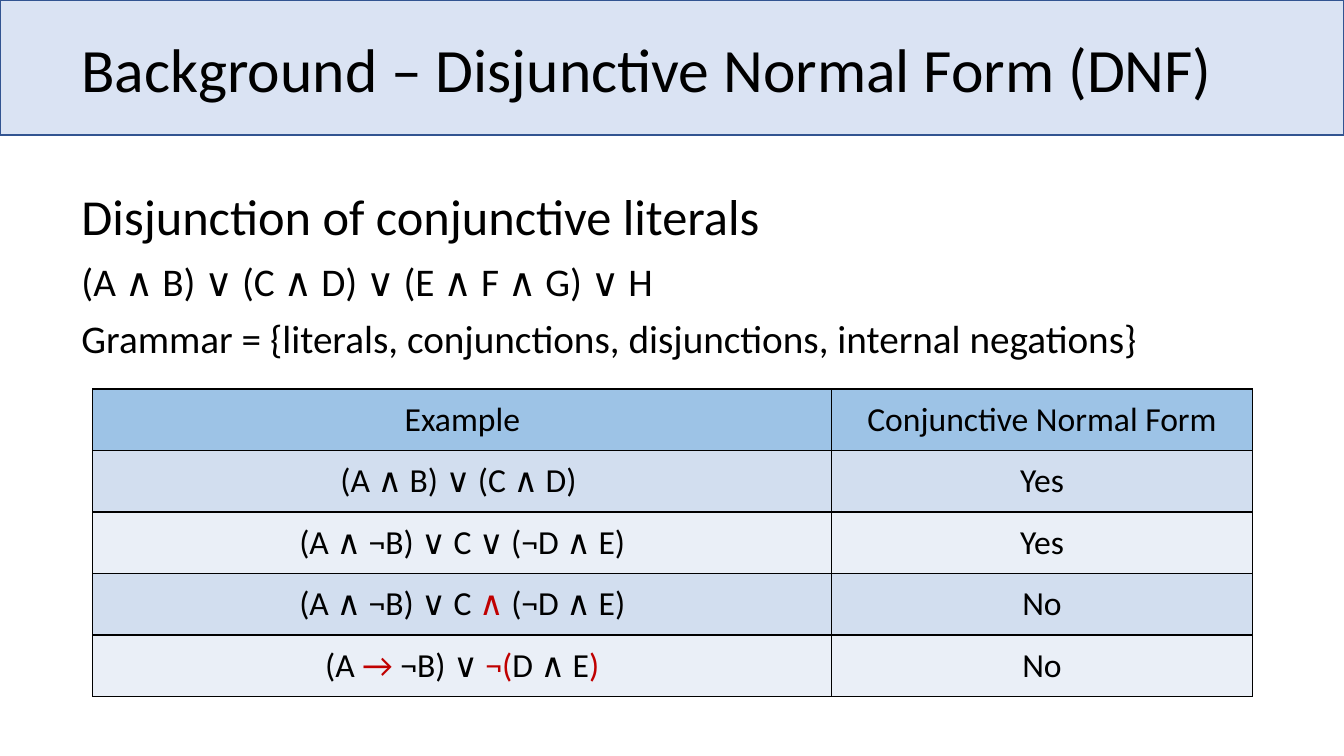
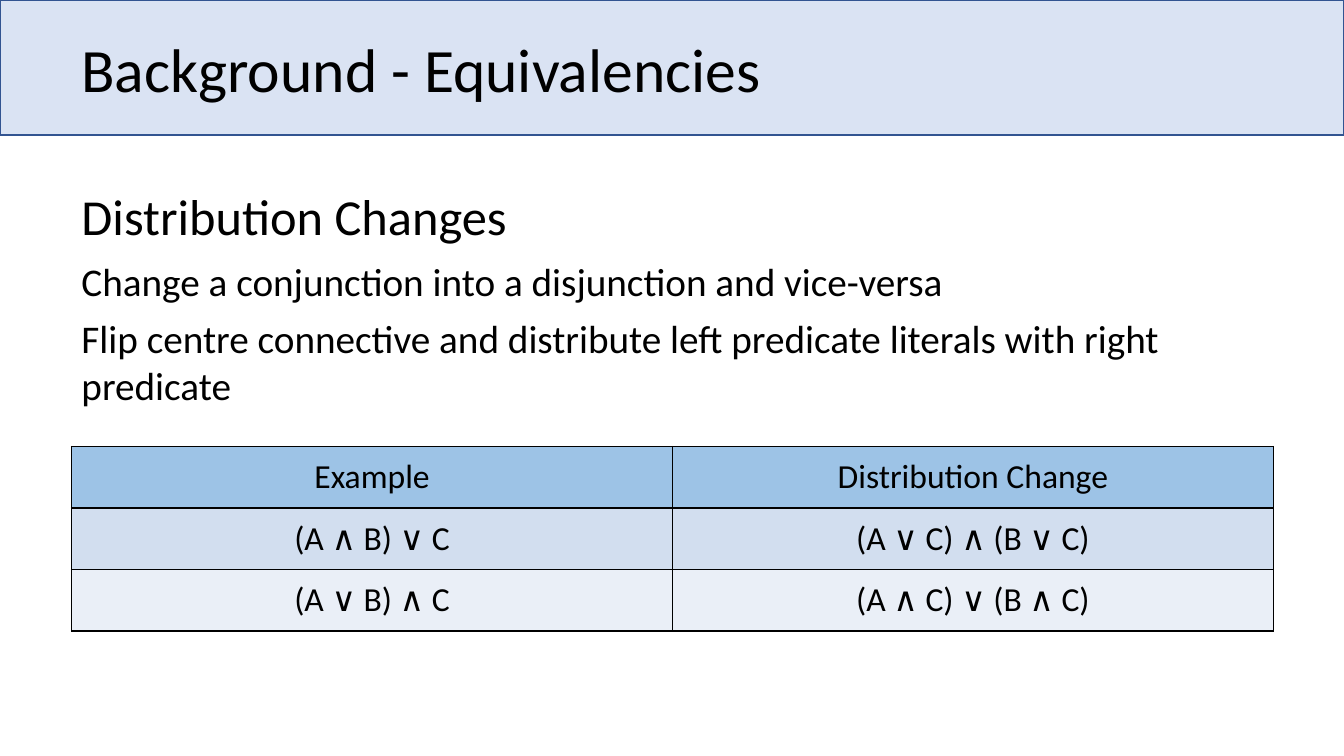
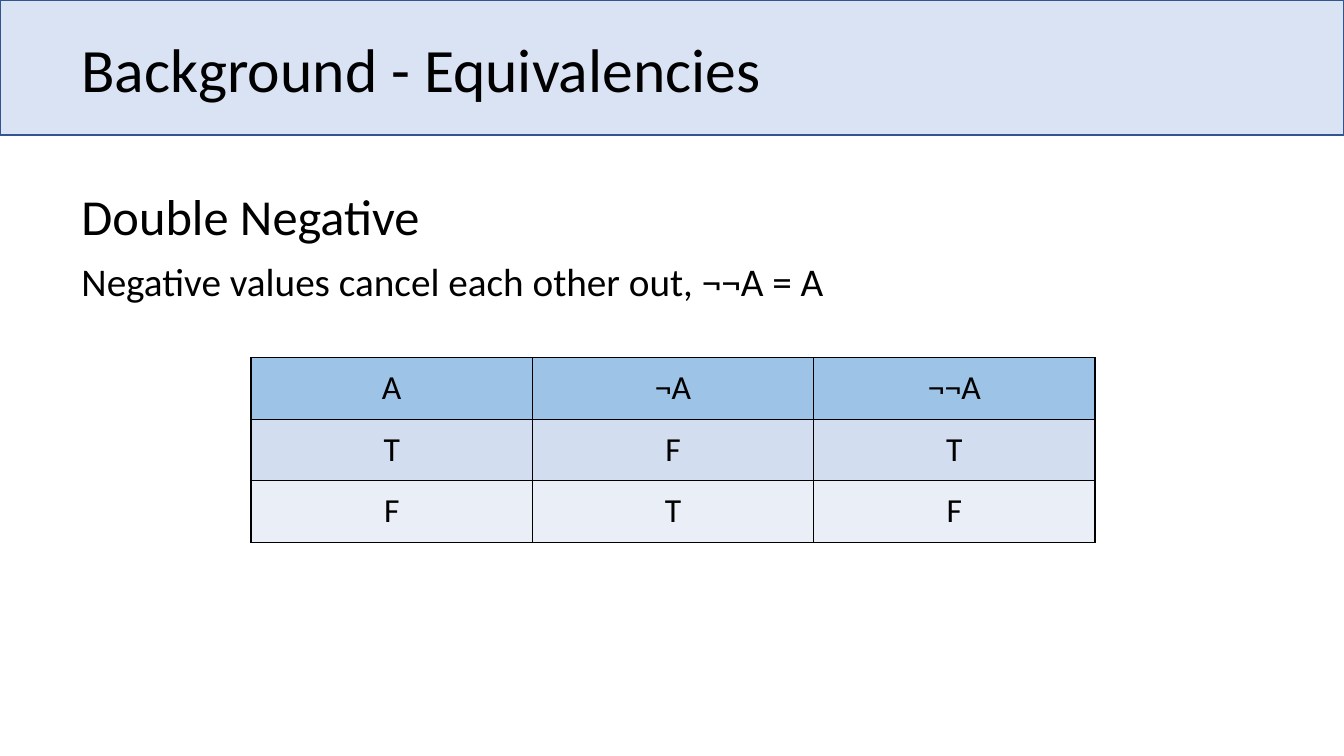
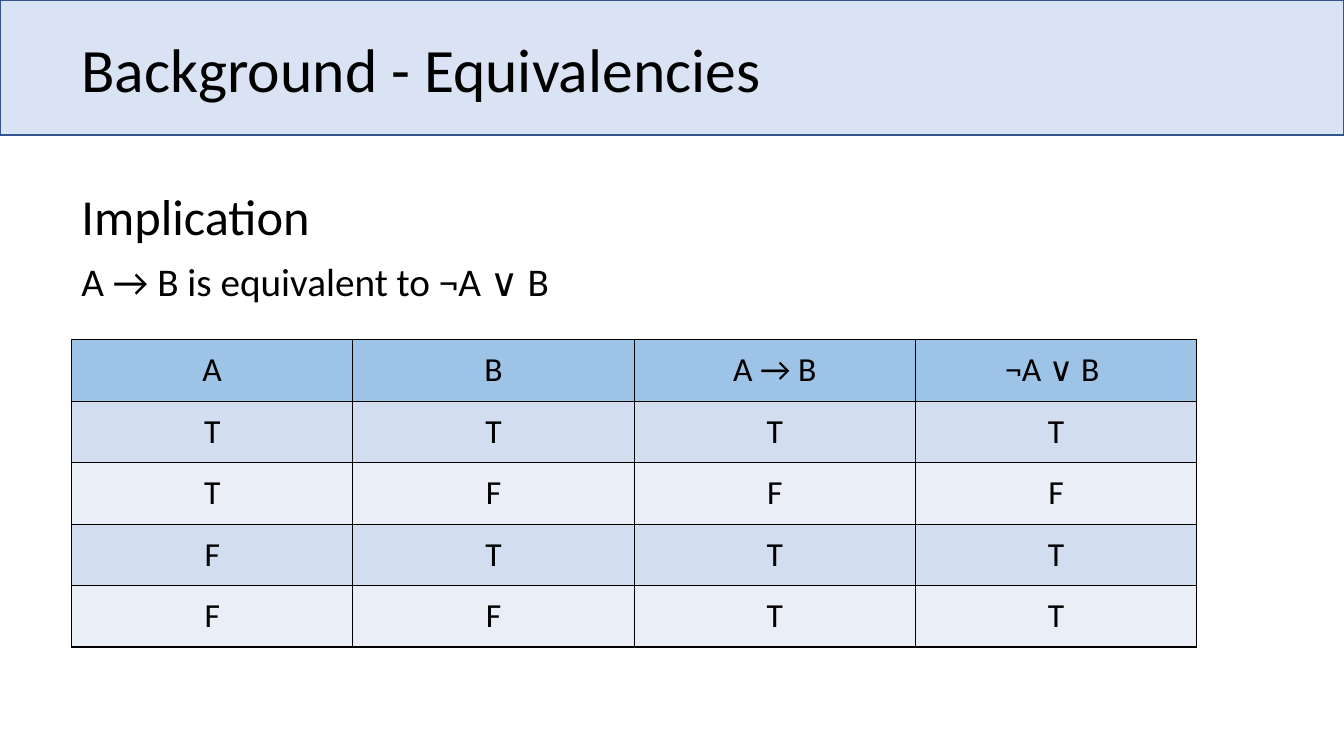
from dataclasses import dataclass

from lxml.etree import SubElement
from pptx import Presentation
from pptx.dml.color import RGBColor
from pptx.enum.shapes import MSO_SHAPE
from pptx.enum.text import MSO_ANCHOR, PP_ALIGN
from pptx.oxml.ns import qn
from pptx.slide import Slide
from pptx.table import _Cell
from pptx.text.text import _Paragraph
from pptx.util import Inches, Pt

FONT = "Calibri"
BLACK = "000000"
RED = "C00000"
BAND_FILL = "DAE3F3"
BAND_LINE = "325491"
HEADER_FILL = "9DC3E6"
ROW_FILLS = ("D2DEEF", "EAEFF7")

SLIDE_WIDTH = 13.33
LEFT = 0.71
TEXT_WIDTH = 11.92
ROW_HEIGHT = 0.61
TRUTH_COLUMN = 2.79
ACCENT_MARK = "|"


@dataclass
class TextLine:
    """A line of text with its box and size."""

    text: str
    top: float
    height: float
    size: int = 28
    left: float = LEFT
    width: float = TEXT_WIDTH
    anchor: MSO_ANCHOR = MSO_ANCHOR.TOP
    spacing: float = 1.0


@dataclass
class Grid:
    """A table; text between accent marks is red."""

    left: float
    top: float
    columns: list[float]
    rows: list[list[str]]


@dataclass
class Topic:
    """The content of one slide."""

    title: str
    heading: str
    lines: list[TextLine]
    grid: Grid


TOPICS = [
    Topic(
        "Background – Disjunctive Normal Form (DNF)",
        "Disjunction of conjunctive literals",
        [
            TextLine("(A ∧ B) ∨ (C ∧ D) ∨ (E ∧ F ∧ G) ∨ H", 2.5, 0.57),
            TextLine("Grammar = {literals, conjunctions, disjunctions, internal negations}", 3.07, 0.57),
        ],
        Grid(0.92, 3.86, [7.33, 4.17], [
            ["Example", "Conjunctive Normal Form"],
            ["(A ∧ B) ∨ (C ∧ D) ", "Yes"],
            ["(A ∧ ¬B) ∨ C ∨ (¬D ∧ E)", "Yes"],
            ["(A ∧ ¬B) ∨ C |∧| (¬D ∧ E)", "No"],
            ["(A |→ |¬B) ∨ |¬(|D ∧ E|)", "No"],
        ]),
    ),
    Topic(
        "Background - Equivalencies",
        "Distribution Changes",
        [
            TextLine("Change a conjunction into a disjunction and vice-versa", 2.5, 0.57),
            TextLine(
                "Flip centre connective and distribute left predicate literals with right predicate",
                3.07, 1.04,
            ),
        ],
        Grid(LEFT, 4.43, [TEXT_WIDTH / 2] * 2, [
            ["Example", "Distribution Change"],
            ["(A ∧ B) ∨ C", "(A ∨ C) ∧ (B ∨ C)"],
            ["(A ∨ B) ∧ C", "(A ∧ C) ∨ (B ∧ C)"],
        ]),
    ),
    Topic(
        "Background - Equivalencies",
        "Double Negative",
        [TextLine("Negative values cancel each other out, ¬¬A = A", 2.5, 0.57)],
        Grid(2.49, 3.55, [TRUTH_COLUMN] * 3, [
            ["A", "¬A", "¬¬A"],
            ["T", "F", "T"],
            ["F", "T", "F"],
        ]),
    ),
    Topic(
        "Background - Equivalencies",
        "Implication",
        [TextLine("A → B is equivalent to ¬A ∨ B ", 2.5, 0.57)],
        Grid(LEFT, 3.37, [TRUTH_COLUMN] * 4, [
            ["A", "B", "A → B", "¬A ∨ B "],
            ["T", "T", "T", "T"],
            ["T", "F", "F", "F"],
            ["F", "T", "T", "T"],
            ["F", "F", "T", "T"],
        ]),
    ),
]


def color(value: str) -> RGBColor:
    """Turn a hex string into a colour."""
    return RGBColor.from_string(value)


def write(paragraph: _Paragraph, text: str, size: int) -> None:
    """Write text, with every second marked part in red."""
    paragraph.font.name = FONT
    paragraph.font.size = Pt(size)
    paragraph.font.color.rgb = color(BLACK)
    for index, part in enumerate(text.split(ACCENT_MARK)):
        if part:
            run = paragraph.add_run()
            run.text = part
            if index % 2:
                run.font.color.rgb = color(RED)


def add_line(slide: Slide, line: TextLine) -> None:
    """Add a wrapped text box."""
    box = slide.shapes.add_textbox(
        Inches(line.left), Inches(line.top), Inches(line.width), Inches(line.height)
    )
    frame = box.text_frame
    frame.word_wrap = True
    frame.vertical_anchor = line.anchor
    paragraph = frame.paragraphs[0]
    paragraph.line_spacing = line.spacing
    write(paragraph, line.text, line.size)


def add_title(slide: Slide, title: str) -> None:
    """Add the title over its band."""
    band = slide.shapes.add_shape(MSO_SHAPE.RECTANGLE, 0, 0, Inches(SLIDE_WIDTH), Inches(1.34))
    band.shadow.inherit = False
    band.fill.solid()
    band.fill.fore_color.rgb = color(BAND_FILL)
    band.line.color.rgb = color(BAND_LINE)
    band.line.width = Pt(1)
    add_line(slide, TextLine(title, -0.01, 1.45, 44, width=11.5, anchor=MSO_ANCHOR.MIDDLE, spacing=0.9))


def style_cell(cell: _Cell, fill: str) -> None:
    """Give a cell its borders, fill and anchor."""
    properties = cell._tc.get_or_add_tcPr()
    for side in ("a:lnL", "a:lnR", "a:lnT", "a:lnB"):
        border = SubElement(properties, qn(side), w=str(Pt(1)))
        border_fill = SubElement(border, qn("a:solidFill"))
        SubElement(border_fill, qn("a:srgbClr"), val=BLACK)
    cell.fill.solid()
    cell.fill.fore_color.rgb = color(fill)
    cell.vertical_anchor = MSO_ANCHOR.MIDDLE


def add_grid(slide: Slide, grid: Grid) -> None:
    """Add a table with a header and alternating rows."""
    table = slide.shapes.add_table(
        len(grid.rows), len(grid.columns), Inches(grid.left), Inches(grid.top),
        Inches(sum(grid.columns)), Inches(ROW_HEIGHT * len(grid.rows)),
    ).table
    table.first_row = False
    table.horz_banding = False
    for column, width in zip(table.columns, grid.columns):
        column.width = Inches(width)
    for row_index, texts in enumerate(grid.rows):
        fill = ROW_FILLS[(row_index - 1) % 2] if row_index else HEADER_FILL
        for column_index, text in enumerate(texts):
            cell = table.cell(row_index, column_index)
            style_cell(cell, fill)
            paragraph = cell.text_frame.paragraphs[0]
            paragraph.alignment = PP_ALIGN.CENTER
            write(paragraph, text, 24)


def main() -> None:
    """Build and save the presentation."""
    presentation = Presentation()
    presentation.slide_width = Inches(SLIDE_WIDTH)
    presentation.slide_height = Inches(7.5)
    for topic in TOPICS:
        slide = presentation.slides.add_slide(presentation.slide_layouts[6])
        add_title(slide, topic.title)
        add_line(slide, TextLine(topic.heading, 1.79, 0.71, 36))
        for line in topic.lines:
            add_line(slide, line)
        add_grid(slide, topic.grid)
    presentation.save("out.pptx")


main()
